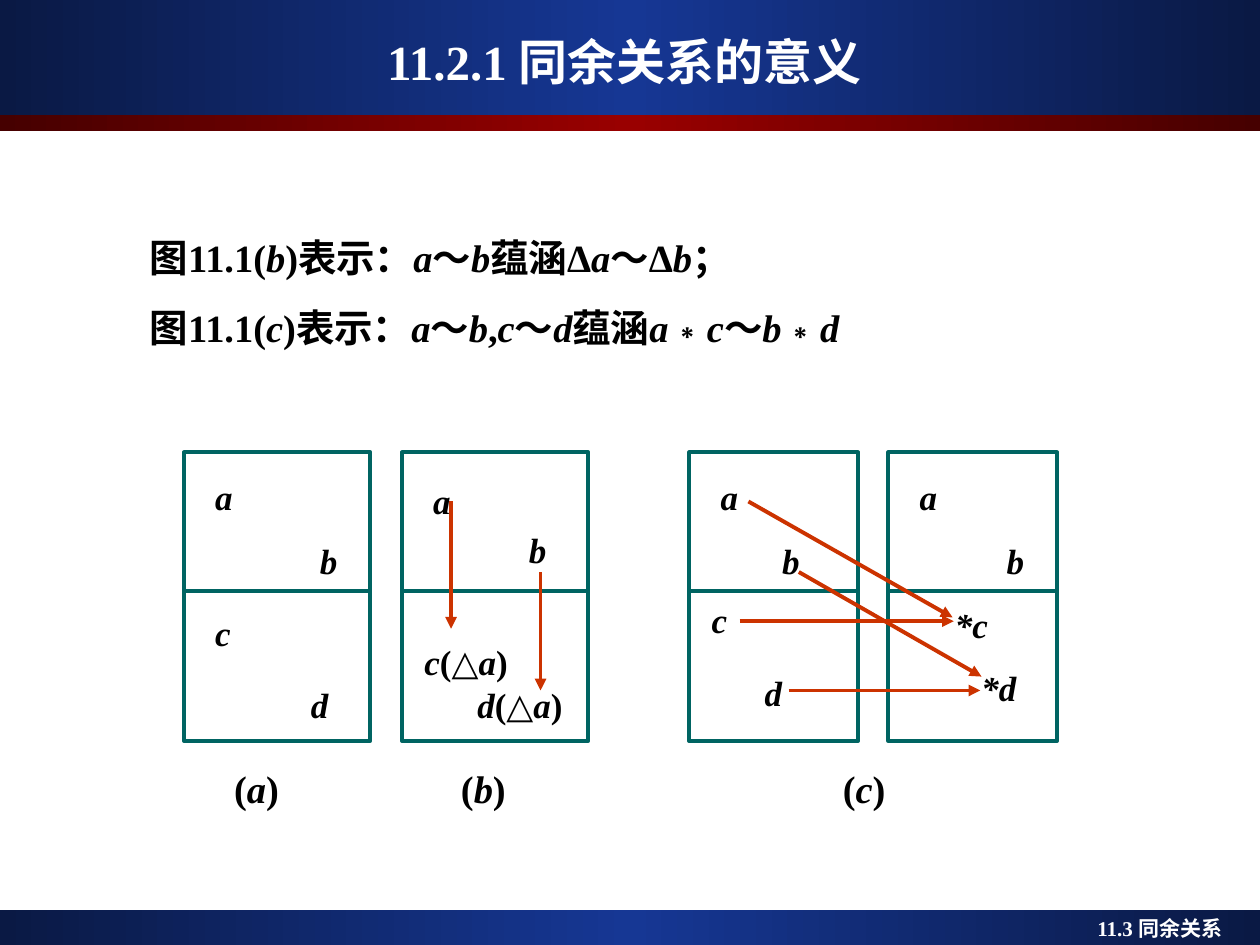
from lxml import etree
from pptx import Presentation
from pptx import util as u
from pptx.dml.color import RGBColor
from pptx.enum import shapes, text
from pptx.oxml import ns

WHITE = RGBColor(0xFF, 0xFF, 0xFF)
BLACK = RGBColor(0, 0, 0)
TEAL = RGBColor(0x00, 0x64, 0x62)
ORANGE = RGBColor(0xCC, 0x33, 0x00)
NAVY, BLUE = RGBColor(0x0A, 0x19, 0x44), RGBColor(0x16, 0x37, 0x94)
MAROON, RED = RGBColor(0x46, 0, 0), RGBColor(0x99, 0, 0)
FONT, SYMBOL_FONT = "Times New Roman", "Arial"

BANDS = [
    (7.22, 0.28, NAVY, BLUE),
    (0, 0.91, NAVY, BLUE),
    (0.91, 0.13, MAROON, RED),
]
TITLE = "11.2.1 同余关系的意义"
FOOTER = "11.3 同余关系"

# Italic parts stand between bars.
STATEMENTS = [
    "图11.1(|b|)表示：|a|～|b|蕴涵Δ|a|～Δ|b|；",
    "图11.1(|c|)表示：|a|～|b|,|c|～|d|蕴涵|a|∗|c|～|b|∗|d|",
]
CAPTIONS = "\t(|a|)\t(|b|)\t(|c|)"
CAPTION_TABS = [0.54, 2.34, 5.37]

PANEL_TOP, PANEL_HEIGHT, DIVIDER_Y = 3.59, 2.29, 4.69
PANELS = [
    (1.46, 1.48, 1.61, 1.18, [("|a|", 0, 1.4), ("|b|", 0.83, 1),
                              ("|c|", 0, 1.2), ("|d|", 0.76, 1.2)]),
    (3.19, 1.48, 3.27, 1.34, [("|a|", 0.07, 1.5), ("|b|", 0.83, 0.6),
                              ("|c|(△|a|)", 0, 2.2), ("|d|(△|a|)", 0.42, 0.4)]),
    (5.47, 1.34, 5.55, 1.18, [("|a|", 0.07, 1.4), ("|b|", 0.56, 1),
                              ("|c|", 0, 0.9), ("|d|", 0.42, 1.2)]),
    (7.05, 1.34, 7.13, 1.18, [("|a|", 0.07, 1.4), ("|b|", 0.76, 1),
                              ("|*c|", 0.35, 1), ("|*d|", 0.56, 1)]),
]
ARROWS = [
    (3.58, 3.98, 3.58, 4.99),
    (4.29, 4.54, 4.29, 5.48),
    (5.94, 3.98, 7.56, 4.9),
    (6.34, 4.54, 7.79, 5.37),
    (5.87, 4.93, 7.57, 4.93),
    (6.26, 5.48, 7.78, 5.48),
]


def add_band(page, top, height, edge, middle):
    band = page.shapes.add_shape(shapes.MSO_SHAPE.RECTANGLE, 0, u.Inches(top),
                                 u.Inches(10), u.Inches(height))
    band.shadow.inherit = False
    band.line.fill.background()
    band.fill.gradient()
    band.fill.gradient_angle = 0
    stops = band._element.spPr.find(".//" + ns.qn("a:gsLst"))
    for stop in list(stops):
        stops.remove(stop)
    for position, color in ((0, edge), (50000, middle), (100000, edge)):
        stop = etree.SubElement(stops, ns.qn("a:gs"), pos=str(position))
        etree.SubElement(stop, ns.qn("a:srgbClr"), val=str(color))


def add_line(page, x1, y1, x2, y2, color, arrow=False):
    line = page.shapes.add_connector(shapes.MSO_CONNECTOR.STRAIGHT, u.Inches(x1),
                                     u.Inches(y1), u.Inches(x2), u.Inches(y2))
    line.line.color.rgb = color
    line.line.width = u.Pt(2.25)
    if arrow:
        etree.SubElement(line.line._get_or_add_ln(), ns.qn("a:tailEnd"), type="triangle")
    etree.SubElement(line._element.spPr, ns.qn("a:effectLst"))


def add_text(page, place, rows, size, color=BLACK, space=0, align=None, tabs=()):
    box = page.shapes.add_textbox(*map(u.Inches, place))
    frame = box.text_frame
    frame.word_wrap = True
    for index, (content, indent, spacing) in enumerate(rows):
        para = frame.add_paragraph() if index else frame.paragraphs[0]
        properties = para._p.get_or_add_pPr()
        properties.set("marL", str(u.Inches(indent)))
        para.line_spacing = spacing
        para.space_before = u.Pt(space if index else 0)
        para.alignment = align
        if tabs:
            tab_list = etree.SubElement(properties, ns.qn("a:tabLst"))
            for tab in tabs:
                etree.SubElement(tab_list, ns.qn("a:tab"), pos=str(u.Inches(tab)), algn="l")
        para.font.size = u.Pt(size)
        para.font.bold = True
        para.font.color.rgb = color
        for part, words in enumerate(content.split("|")):
            if words:
                span = para.add_run()
                span.text = words
                span.font.name = SYMBOL_FONT if words == "∗" else FONT
                span.font.size = u.Pt(size)
                span.font.bold = True
                span.font.italic = part % 2 == 1 and words != "∗"
                span.font.color.rgb = color
    return frame


def add_panel(page, left, width, text_left, text_width, labels):
    panel = page.shapes.add_shape(shapes.MSO_SHAPE.RECTANGLE, u.Inches(left),
                                  u.Inches(PANEL_TOP), u.Inches(width),
                                  u.Inches(PANEL_HEIGHT))
    panel.shadow.inherit = False
    panel.fill.background()
    panel.line.color.rgb = TEAL
    panel.line.width = u.Pt(2.25)
    add_line(page, left, DIVIDER_Y, left + width, DIVIDER_Y, TEAL)
    add_text(page, (text_left, PANEL_TOP, text_width, 2.2), labels, 20, space=12.5)


def main():
    deck = Presentation()
    deck.slide_width, deck.slide_height = u.Inches(10), u.Inches(7.5)
    page = deck.slides.add_slide(deck.slide_layouts[6])
    for band in BANDS:
        add_band(page, *band)
    title = add_text(page, (0.33, 0.17, 9.25, 0.62), [(TITLE, 0, 1)], 28, WHITE,
                     align=text.PP_ALIGN.CENTER)
    title.vertical_anchor = text.MSO_ANCHOR.MIDDLE
    add_text(page, (0.75, 1.7, 7.72, 1.49), [(row, 0.34, 1.3) for row in STATEMENTS],
             22, space=5.5)
    add_text(page, (1.22, 5.95, 7.72, 0.6), [(CAPTIONS, 0, 1.2)], 22, tabs=CAPTION_TABS)
    footer = add_text(page, (7.33, 7.22, 2.56, 0.3), [(FOOTER, 0, 1)], 12, WHITE,
                      align=text.PP_ALIGN.RIGHT)
    footer.margin_right = u.Inches(0.19)
    for panel in PANELS:
        add_panel(page, *panel)
    for arrow in ARROWS:
        add_line(page, *arrow, ORANGE, arrow=True)
    deck.save("out.pptx")


if __name__ == "__main__":
    main()
